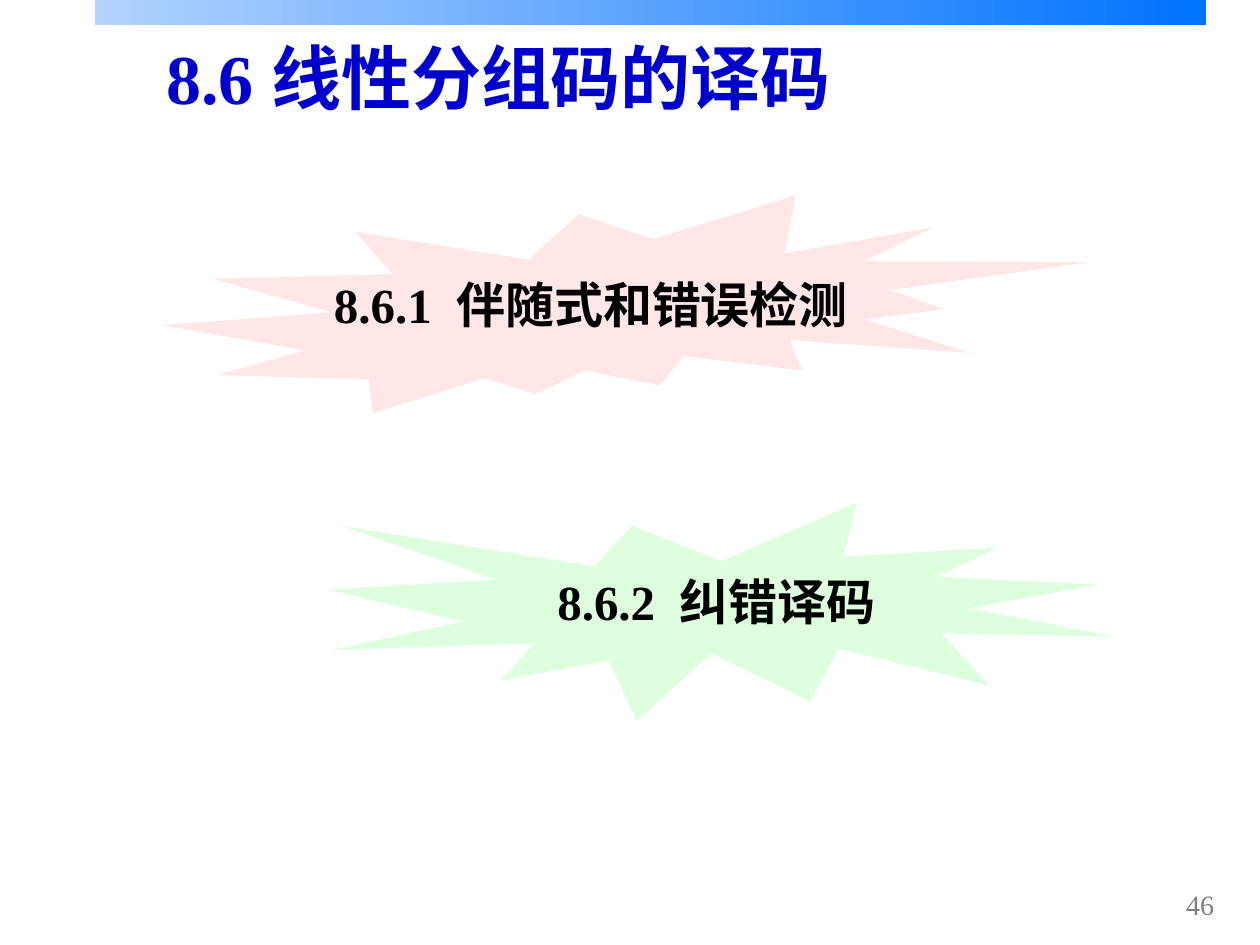
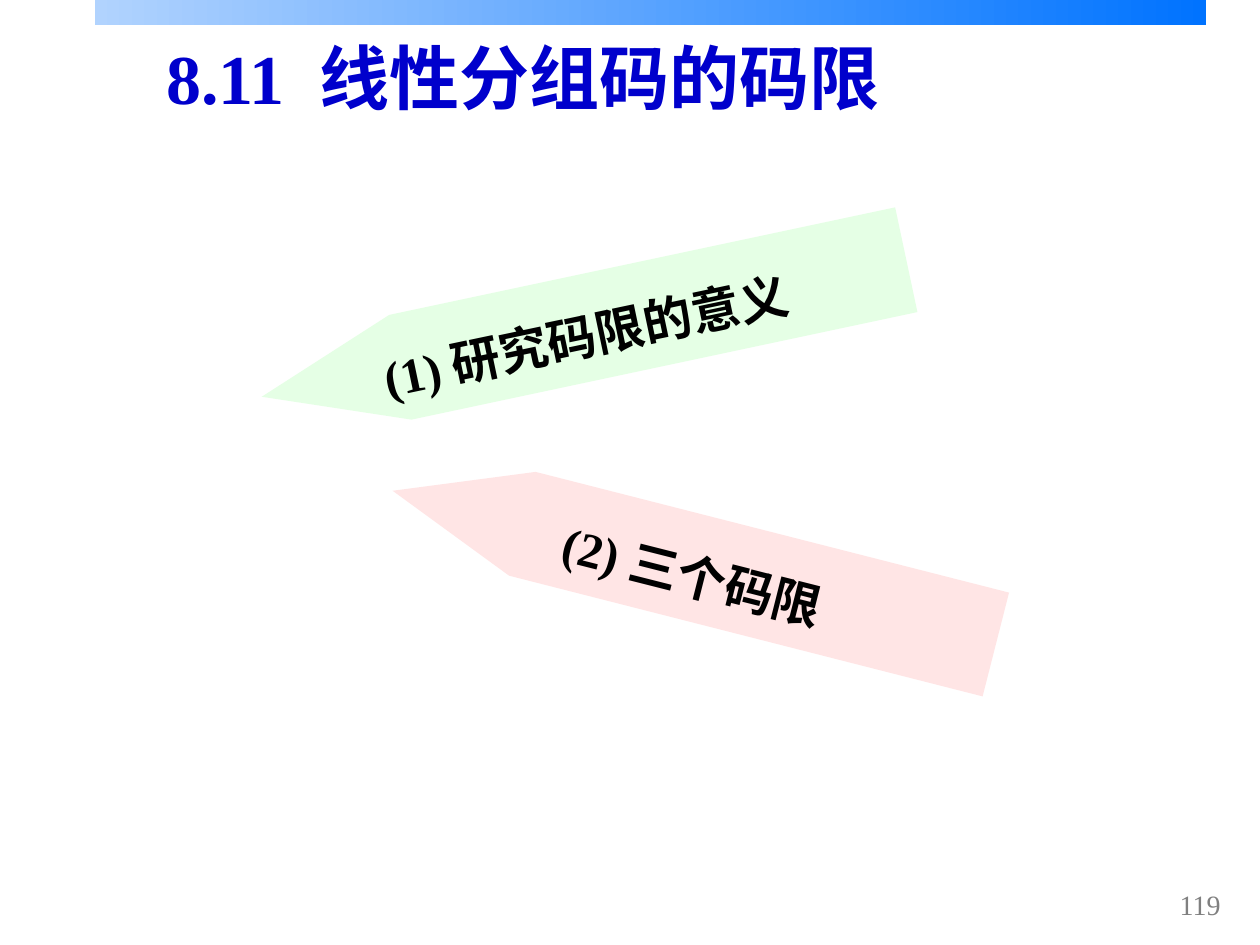
"""Build two section slides on linear block codes."""
from pptx import Presentation
from pptx.dml.color import RGBColor
from pptx.enum.shapes import MSO_SHAPE as Preset
from pptx.enum.text import MSO_ANCHOR as Anchor, MSO_AUTO_SIZE as AutoSize, PP_ALIGN as Align
from pptx.util import Inches, Pt

FONT = "Times New Roman"
BLUE = RGBColor(0x00, 0x00, 0xCC)
BLACK = RGBColor(0x00, 0x00, 0x00)
GRAY = RGBColor(0x80, 0x80, 0x80)
BAND_RIGHT = RGBColor(0x00, 0x73, 0xFF)
BAND_LEFT = RGBColor(0xB1, 0xD3, 0xFE)
BURST_PINK = RGBColor(0xFF, 0xE7, 0xE7)
BURST_GREEN = RGBColor(0xDD, 0xFF, 0xDD)
ARROW_GREEN = RGBColor(0xE5, 0xFF, 0xE5)
ARROW_PINK = RGBColor(0xFF, 0xE5, 0xE5)

BAND = (0.75, 0, 8.82, 0.2)
TITLE = (1.22, 0.21, 8.78, 0.79)
NUMBER = (9.14, 6.98, 0.77, 0.39)

BURSTS = [
    ("8.6.1  伴随式和错误检测", Preset.EXPLOSION2, (1.29, 1.55, 7.34, 1.73), BURST_PINK),
    ("8.6.2  纠错译码", Preset.EXPLOSION1, (2.6, 3.99, 6.25, 1.73), BURST_GREEN),
]
ARROWS = [
    ("(1) 研究码限的意义", (2.02, 2.18, 5.23, 0.85), 168, ARROW_GREEN),
    ("(2) 三个码限", (3.04, 4.08, 4.94, 0.85), 194.3, ARROW_PINK),
]
ARROW_BODY_SHARE = 0.785


def inches(area):
    return [Inches(length) for length in area]


def write(shape, text, size, color, bold=True, align=Align.CENTER, spacing=1.0, wrap=False):
    frame = shape.text_frame
    frame.auto_size = AutoSize.NONE
    frame.word_wrap = wrap
    frame.vertical_anchor = Anchor.MIDDLE
    para = frame.paragraphs[0]
    para.text = text
    para.alignment = align
    para.line_spacing = spacing
    para.space_before = Pt(0)
    font = para.font
    font.name, font.size, font.bold = FONT, Pt(size), bold
    font.color.rgb = color


def paint(shape, color):
    shape.shadow.inherit = False
    shape.line.fill.background()
    shape.fill.solid()
    shape.fill.fore_color.rgb = color


def add_page(deck, title, number):
    page = deck.slides.add_slide(deck.slide_layouts[5])
    band = page.shapes.add_shape(Preset.RECTANGLE, *inches(BAND))
    paint(band, BAND_RIGHT)
    band.fill.gradient()
    band.fill.gradient_angle = 180
    for stop, color in zip(band.fill.gradient_stops, (BAND_RIGHT, BAND_LEFT)):
        stop.color.rgb = color
    heading = page.shapes.title
    heading.left, heading.top, heading.width, heading.height = inches(TITLE)
    write(heading, title, 40, BLUE, align=Align.LEFT, wrap=True)
    box = page.shapes.add_textbox(*inches(NUMBER))
    write(box, number, 16, GRAY, bold=False, wrap=True)
    return page


def add_burst(page, text, preset, area, color):
    burst = page.shapes.add_shape(preset, *inches(area))
    paint(burst, color)
    write(burst, text, 28, BLACK, spacing=0.9)


def add_arrow(page, text, area, angle, color):
    left, top, width, height = inches(area)
    shoulder = left + int(width * ARROW_BODY_SHARE)
    builder = page.shapes.build_freeform(left, top)
    builder.add_line_segments([
        (shoulder, top),
        (left + width, top + height // 2),
        (shoulder, top + height),
        (left, top + height),
    ])
    arrow = builder.convert_to_shape()
    arrow.rotation = angle
    paint(arrow, color)
    write(arrow, text, 28, BLACK, spacing=1.25)
    arrow.text_frame._txBody.bodyPr.set("rot", str(180 * 60000))


def main():
    deck = Presentation()
    deck.slide_width, deck.slide_height = Inches(10), Inches(7.5)
    decoding = add_page(deck, "8.6 线性分组码的译码", "46")
    for burst in BURSTS:
        add_burst(decoding, *burst)
    bounds = add_page(deck, "8.11  线性分组码的码限", "119")
    for arrow in ARROWS:
        add_arrow(bounds, *arrow)
    deck.save("out.pptx")


if __name__ == "__main__":
    main()
